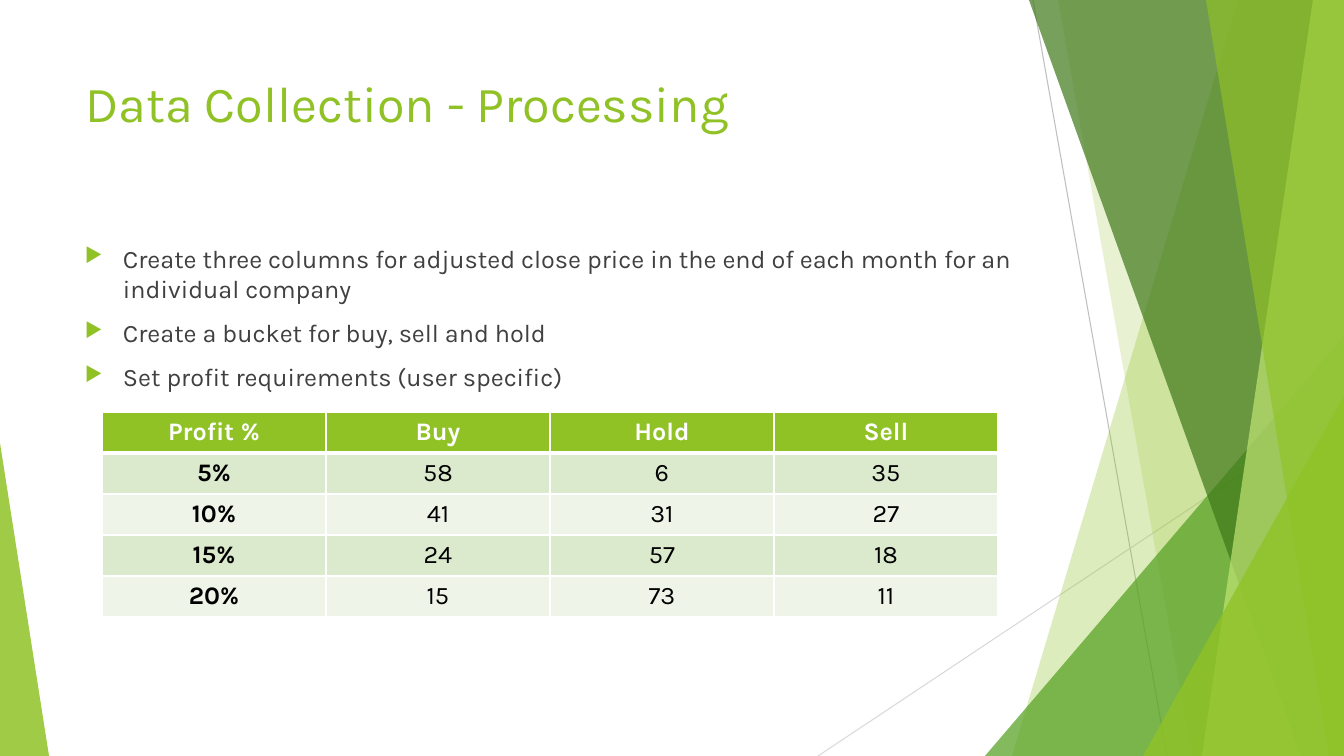
"""Build the data collection slide: faceted green backdrop, bullets and a profit table."""
from typing import NamedTuple

from lxml.etree import SubElement
from pptx import Presentation
from pptx.dml.color import RGBColor
from pptx.enum.shapes import MSO_CONNECTOR, MSO_SHAPE
from pptx.enum.text import MSO_ANCHOR, MSO_AUTO_SIZE, PP_ALIGN
from pptx.oxml.ns import qn
from pptx.util import Emu, Pt

WIDTH, HEIGHT = 1344, 756
EMU_PER_PX = 914400 / 100.8
FONT = "Karla"
GREEN, WHITE, GREY, BLACK = "90C226", "FFFFFF", "404040", "000000"
BANDS = ("DBE9CD", "EEF4E8")


class Ray(NamedTuple):
    start: tuple[int, int]
    end: tuple[int, int]
    color: str


class Blade(NamedTuple):
    top: int
    bottom: int
    color: str
    alpha: int


class Wedge(NamedTuple):
    left: int
    top: int
    width: int
    apex: float
    color: str
    alpha: int


RAYS = (
    Ray((1033, 0), (1167, HEIGHT), "BFBFBF"),
    Ray((WIDTH, 406), (818, HEIGHT), "D9D9D9"),
)
FACETS = (
    Blade(1238, 1012, GREEN, 30),
    Blade(1058, 1192, GREEN, 20),
    Wedge(985, 336, 359, 1, "54A021", 72),
    Blade(1029, 1301, "3F7819", 70),
    Blade(1313, 1202, "C0E474", 70),
    Blade(1206, 1329, GREEN, 65),
    Wedge(1143, 396, 201, 1, GREEN, 80),
    Wedge(0, 443, 49, 0, GREEN, 85),
)
BULLETS = (
    "Create three columns for adjusted close price in the end of each month "
    "for an individual company",
    "Create a bucket for buy, sell and hold",
    "Set profit requirements (user specific)",
)
PROFIT_ROWS = (
    ("Profit %", "Buy", "Hold", "Sell"),
    ("5%", "58", "6", "35"),
    ("10%", "41", "31", "27"),
    ("15%", "24", "57", "18"),
    ("20%", "15", "73", "11"),
)


def px(n: float) -> Emu:
    return Emu(round(n * EMU_PER_PX))


def rgb(color: str) -> RGBColor:
    return RGBColor.from_string(color)


def sub(parent, tag: str, **attrs):
    return SubElement(parent, qn(tag), {k: str(v) for k, v in attrs.items()})


def write(p, text: str, *, size: int = 18, color: str = GREY,
          bold: bool = False, align=PP_ALIGN.LEFT) -> None:
    p.alignment = align
    r = p.add_run()
    r.text = text
    r.font.name, r.font.size, r.font.bold = FONT, Pt(size), bold
    r.font.color.rgb = rgb(color)


def draw_ray(shapes, ray: Ray) -> None:
    line = shapes.add_connector(MSO_CONNECTOR.STRAIGHT, *map(px, ray.start + ray.end))
    line.line.color.rgb = rgb(ray.color)
    line.line.width = Pt(0.75)
    sub(line._element.spPr, "a:effectLst")


def draw_facet(shapes, facet: Blade | Wedge) -> None:
    if isinstance(facet, Blade):
        outline = shapes.build_freeform(facet.top, 0, scale=EMU_PER_PX)
        outline.add_line_segments(
            [(WIDTH, 0), (WIDTH, HEIGHT), (facet.bottom, HEIGHT)])
        sp = outline.convert_to_shape()
    else:
        sp = shapes.add_shape(
            MSO_SHAPE.ISOSCELES_TRIANGLE, px(facet.left), px(facet.top),
            px(facet.width), px(HEIGHT - facet.top))
        sp.adjustments[0] = facet.apex
    sp.shadow.inherit = False
    sp.line.fill.background()
    sp.fill.solid()
    sp.fill.fore_color.rgb = rgb(facet.color)
    clr = sp._element.spPr.find(qn("a:solidFill"))[0]
    sub(clr, "a:alpha", val=facet.alpha * 1000)


def draw_title(shapes, text: str) -> None:
    title = shapes.title
    title.left, title.top, title.width, title.height = map(px, (75, 67, 947, 145))
    shapes._spTree.append(title._element)
    tf = title.text_frame
    tf.vertical_anchor = MSO_ANCHOR.TOP
    tf.auto_size = MSO_AUTO_SIZE.NONE
    write(tf.paragraphs[0], text, size=36, color=GREEN)


def draw_bullets(shapes, items: tuple[str, ...]) -> None:
    tf = shapes.add_textbox(*map(px, (75, 238, 947, 427))).text_frame
    tf.word_wrap = True
    for i, item in enumerate(items):
        p = tf.add_paragraph() if i else tf.paragraphs[0]
        write(p, item)
        p.space_before = Pt(10)
        pPr = p._p.get_or_add_pPr()
        pPr.set("marL", str(px(38)))
        pPr.set("indent", str(px(-38)))
        sub(sub(pPr, "a:buClr"), "a:srgbClr", val=GREEN)
        sub(pPr, "a:buSzPct", val=80000)
        sub(pPr, "a:buChar", char="▶")


def draw_border(cell, side: str, width: float) -> None:
    ln = sub(cell._tc.get_or_add_tcPr(), f"a:ln{side}", w=Pt(width))
    sub(sub(ln, "a:solidFill"), "a:srgbClr", val=WHITE)


def draw_table(shapes, rows: tuple[tuple[str, ...], ...]) -> None:
    table = shapes.add_table(
        len(rows), len(rows[0]), *map(px, (102, 412, 896, 205))).table
    for i, row in enumerate(rows):
        header = i == 0
        for j, text in enumerate(row):
            cell = table.cell(i, j)
            for side in "LRTB":
                thick = (header and side == "B") or (i == 1 and side == "T")
                draw_border(cell, side, 3 if thick else 1)
            cell.fill.solid()
            cell.fill.fore_color.rgb = rgb(GREEN if header else BANDS[(i - 1) % 2])
            write(cell.text_frame.paragraphs[0], text, bold=header or j == 0,
                  color=WHITE if header else BLACK, align=PP_ALIGN.CENTER)


def main() -> None:
    prs = Presentation()
    prs.slide_width, prs.slide_height = px(WIDTH), px(HEIGHT)
    s = prs.slides.add_slide(prs.slide_layouts.get_by_name("Title Only"))
    for ray in RAYS:
        draw_ray(s.shapes, ray)
    for facet in FACETS:
        draw_facet(s.shapes, facet)
    draw_title(s.shapes, "Data Collection - Processing")
    draw_bullets(s.shapes, BULLETS)
    draw_table(s.shapes, PROFIT_ROWS)
    prs.save("out.pptx")


main()
